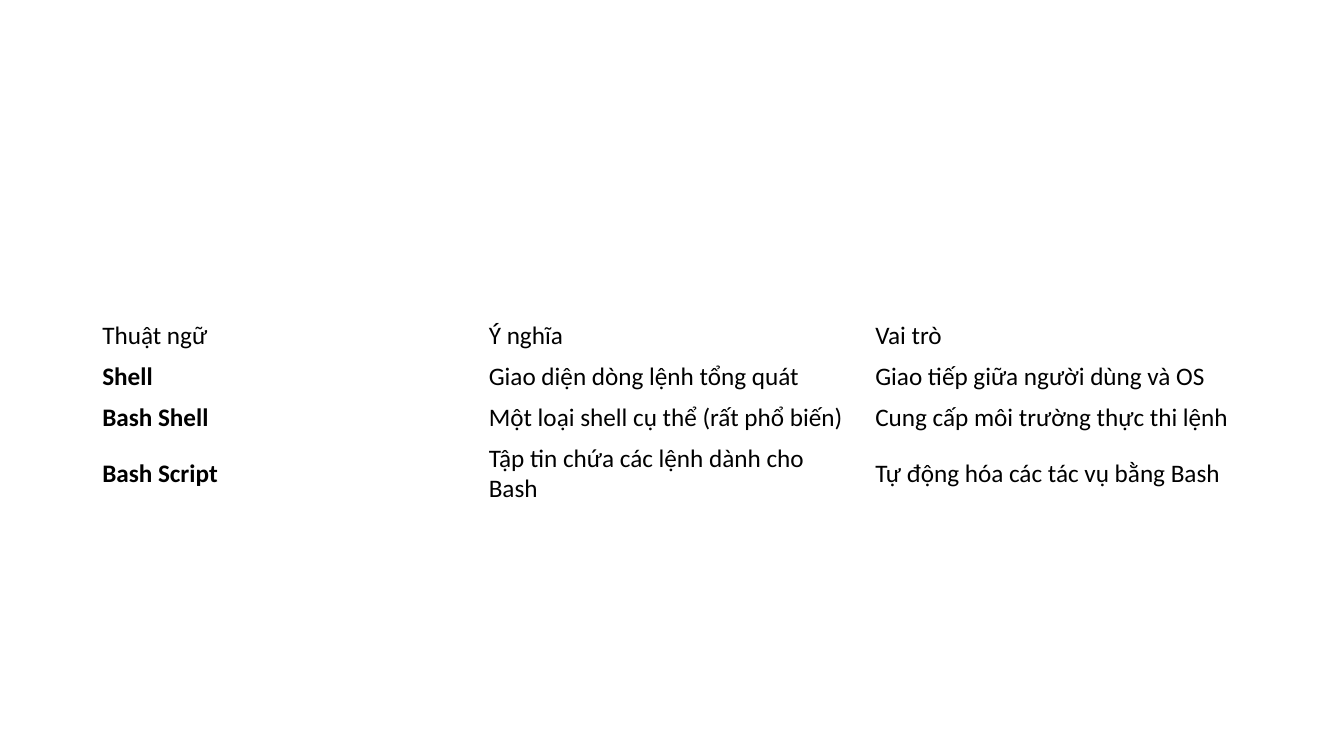
from dataclasses import dataclass

from pptx import Presentation
from pptx.dml.color import RGBColor as RGB
from pptx.enum.text import MSO_ANCHOR as Anchor
from pptx.util import Inches, Pt


@dataclass(frozen=True)
class Theme:
    font: str = "Calibri"
    size: int = 18
    text: str = "000000"


THEME = Theme()
SLIDE_W, SLIDE_H = 13.33, 7.5
LINE_H, WRAPPED_H = 0.4, 0.7

TERMS = [
    ("Thuật ngữ", "Ý nghĩa", "Vai trò"),
    ("Shell", "Giao diện dòng lệnh tổng quát", "Giao tiếp giữa người dùng và OS"),
    ("Bash Shell", "Một loại shell cụ thể (rất phổ biến)",
     "Cung cấp môi trường thực thi lệnh"),
    ("Bash Script", "Tập tin chứa các lệnh dành cho Bash",
     "Tự động hóa các tác vụ bằng Bash"),
]


def write_cell(cell, text, bold):
    cell.fill.background()
    cell.vertical_anchor = Anchor.MIDDLE
    r = cell.text_frame.paragraphs[0].add_run()
    r.text = text
    formats = {"name": THEME.font, "size": Pt(THEME.size), "bold": bold}
    for name, value in formats.items():
        setattr(r.font, name, value)
    r.font.color.rgb = RGB.from_string(THEME.text)


def add_terms_table(s, x, y, w, rows):
    """Place a plain table of equal columns; the last row holds two lines."""
    heights = [LINE_H] * (len(rows) - 1) + [WRAPPED_H]
    cols = len(rows[0])
    table = s.shapes.add_table(len(rows), cols, Inches(x), Inches(y),
                               Inches(w), Inches(sum(heights))).table
    # No banding or header style
    for flag in ("first_row", "horz_banding"):
        setattr(table, flag, False)
    for col in table.columns:
        col.width = Inches(w / cols)
    # Terms in the first column are bold below the header
    for i, (row, height) in enumerate(zip(rows, heights)):
        table.rows[i].height = Inches(height)
        for j, text in enumerate(row):
            write_cell(table.cell(i, j), text, bold=i > 0 and j == 0)


def main():
    prs = Presentation()
    prs.slide_width, prs.slide_height = Inches(SLIDE_W), Inches(SLIDE_H)
    s = prs.slides.add_slide(prs.slide_layouts[6])
    # Table centred across the slide
    w = 11.5
    add_terms_table(s, (SLIDE_W - w) / 2, 3.13, w, TERMS)
    prs.save("out.pptx")


if __name__ == "__main__":
    main()
